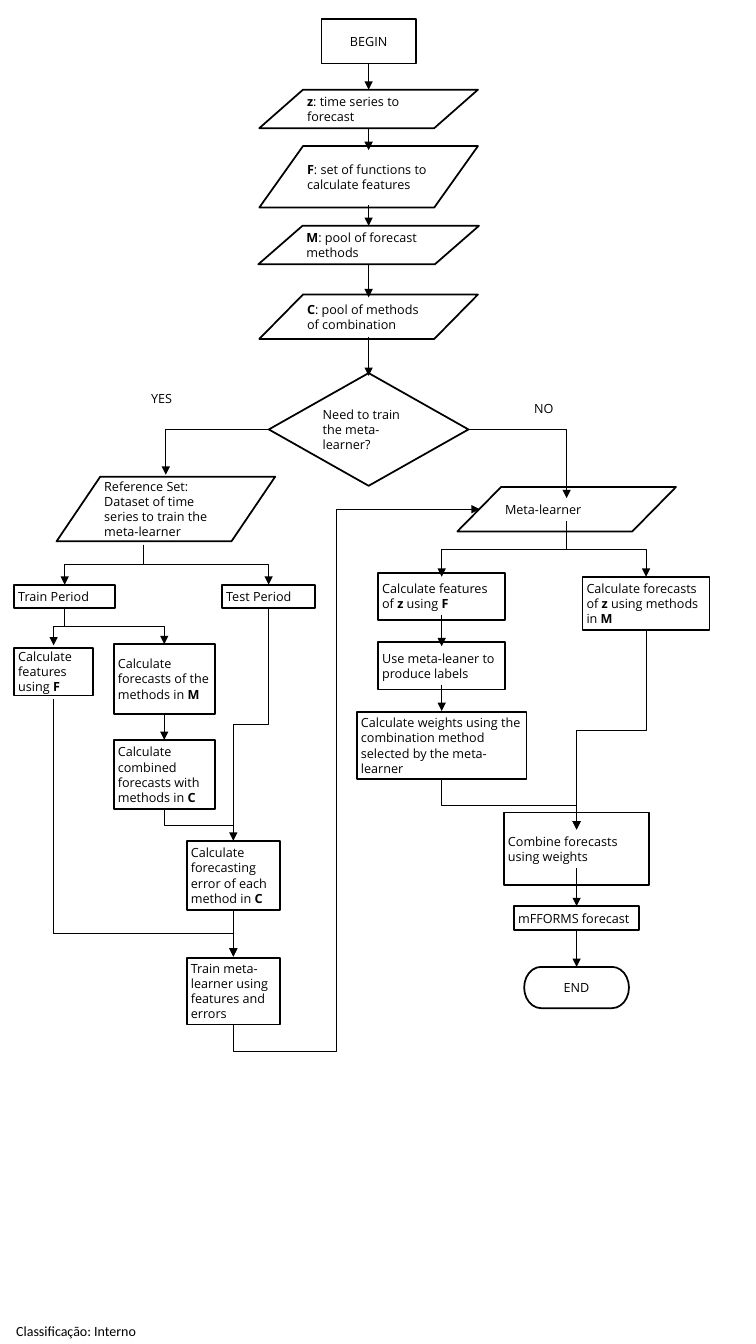
from dataclasses import dataclass
from typing import Any

from lxml.etree import SubElement
from pptx import Presentation
from pptx.dml.color import RGBColor
from pptx.enum.shapes import MSO_CONNECTOR, MSO_SHAPE
from pptx.enum.text import MSO_ANCHOR, PP_ALIGN
from pptx.oxml.ns import qn
from pptx.util import Cm, Pt


@dataclass(frozen=True)
class Theme:
    ink: RGBColor = RGBColor(0, 0, 0)
    font: str = "Open Sans"
    foot: str = "Calibri"
    body: Pt = Pt(9)
    small: Pt = Pt(10)
    edge: Pt = Pt(1.25)
    thin: Pt = Pt(1)
    wire: Pt = Pt(0.5)


@dataclass(frozen=True)
class Box:
    text: str
    mid: float
    top: float
    wide: float
    tall: float
    kind: MSO_SHAPE = MSO_SHAPE.FLOWCHART_PROCESS
    edge: Pt = Theme.edge
    align: PP_ALIGN = PP_ALIGN.LEFT
    side: float = 0.1


@dataclass(frozen=True)
class Label:
    text: str
    left: float
    top: float
    wide: float
    tall: float
    font: str = Theme.font
    size: Pt = Theme.body
    side: float = 0.25
    edge: float = 0.13


@dataclass(frozen=True)
class Link:
    x1: float
    y1: float
    x2: float
    y2: float
    form: str = "line"
    bends: tuple[float, ...] = ()
    head: bool = True


STEP, TURN, LOOP = "bentConnector3", "bentConnector2", "bentConnector4"
DATA = MSO_SHAPE.FLOWCHART_DATA
SPINE, META, MERGE, RIGHT, LEARN = 9.29, 14.28, 14.53, 16.28, 11.13
REF, TRAIN, TEST, TRAITS, POOL, ERROR = 4.18, 1.63, 6.77, 1.35, 4.14, 5.88

BOXES = [
    Box("BEGIN", SPINE, 0.48, 2.39, 1.12, edge=Theme.thin, align=PP_ALIGN.CENTER, side=0),
    Box("*z*: time series to forecast", SPINE, 2.26, 5.51, 0.97, DATA),
    Box("*F*: set of functions to calculate features", SPINE, 3.68, 5.51, 1.55, DATA),
    Box("*M*: pool of forecast methods", SPINE, 5.69, 5.56, 0.97, DATA),
    Box("*C*: pool of methods of combination", SPINE, 7.42, 5.51, 1.12, DATA),
    Box("Need to train the meta-learner?", SPINE, 9.4, 5.03, 2.84, MSO_SHAPE.FLOWCHART_DECISION),
    Box("Meta-learner", META, 12.27, 5.51, 1.12, DATA),
    Box("Calculate forecasts of *z *using methods in *M*", RIGHT, 14.53, 3.2, 1.35),
    Box("Calculate features of *z *using *F*", LEARN, 14.43, 3.2, 1.19),
    Box("Use meta-leaner to produce labels", LEARN, 16.18, 3.2, 1.19),
    Box("Calculate weights using the combination method selected by the meta-learner",
        LEARN, 17.93, 4.27, 1.7),
    Box("Combine forecasts using weights", MERGE, 20.47, 3.66, 1.83),
    Box("mFFORMS forecast", MERGE, 22.83, 3.15, 0.61),
    Box("END", MERGE, 24.36, 2.64, 1.04, MSO_SHAPE.FLOWCHART_TERMINATOR,
        align=PP_ALIGN.CENTER, side=0),
    Box("Reference Set: Dataset of time series to train the meta-learner",
        REF, 12.01, 5.51, 1.63, DATA),
    Box("Train Period", TRAIN, 14.73, 2.54, 0.58),
    Box("Test Period", TEST, 14.73, 2.34, 0.58),
    Box("Calculate features using *F*", TRAITS, 16.33, 1.98, 1.19),
    Box("Calculate forecasts of the methods in *M*", POOL, 16.23, 2.54, 1.75),
    Box("Calculate combined forecasts with methods in *C*", POOL, 18.64, 2.54, 1.75),
    Box("Calculate forecasting error of each method in *C*", ERROR, 21.18, 2.34, 1.75),
    Box("Train meta-learner using features and errors", ERROR, 24.13, 2.34, 1.68),
]

LABELS = [
    Label("NO", 13.21, 9.98, 1.65, 0.64),
    Label("YES", 3.56, 9.73, 1.65, 0.64),
    Label("Classificação: Interno", 0.41, 33.15, 3.86, 0.74,
          Theme.foot, Theme.small, 0, 0.13),
]

DROPS = {
    SPINE: [(1.6, 2.26), (3.25, 3.78), (5.16, 5.69), (6.68, 7.49), (8.48, 9.47)],
    LEARN: [(15.49, 16.28), (17.25, 17.91)],
    MERGE: [(21.87, 22.83), (23.44, 24.36)],
    POOL: [(17.98, 18.64)],
    ERROR: [(22.94, 24.1)],
}

LINKS = [Link(x, start, x, end) for x, spans in DROPS.items() for start, end in spans] + [
    Link(11.79, 10.82, META, 12.55, TURN),
    Link(6.78, 10.82, REF, 11.96, TURN),
    Link(RIGHT, 15.9, MERGE, 20.9, STEP),
    Link(LEARN, 19.66, MERGE, 20.9, STEP),
    Link(META, 13.13, RIGHT, 14.53, STEP),
    Link(META, 13.13, LEARN, 14.53, STEP),
    Link(3.61, 13.72, TRAIN, 14.73, STEP),
    Link(3.61, 13.72, TEST, 14.73, STEP),
    Link(TRAIN, 15.32, TRAITS, 16.26, STEP),
    Link(TRAIN, 15.32, POOL, 16.23, STEP),
    Link(TEST, 15.32, ERROR, 21.18, STEP, head=False),
    Link(POOL, 20.4, ERROR, 21.18, STEP),
    Link(TRAITS, 17.6, ERROR, 24.1, STEP, (0.91,)),
    Link(ERROR, 25.83, 12.09, 12.83, LOOP, (-0.05, 0.42)),
]


def apply(item: Any, values: dict[str, Any]) -> None:
    for name, value in values.items():
        setattr(item, name, value)


def write(frame: Any, text: str, font: str, size: Pt, align: PP_ALIGN,
          anchor: MSO_ANCHOR, side: float, edge: float) -> None:
    apply(frame, dict(word_wrap=True, vertical_anchor=anchor,
                      margin_left=Cm(side), margin_right=Cm(side),
                      margin_top=Cm(edge), margin_bottom=Cm(edge)))
    line = frame.paragraphs[0]
    line.alignment = align
    for spot, part in enumerate(text.split("*")):
        if part:
            run = line.add_run()
            run.text = part
            apply(run.font, dict(name=font, size=size, bold=spot % 2 == 1))
            run.font.color.rgb = Theme.ink


def draw_box(slide: Any, box: Box) -> None:
    shape = slide.shapes.add_shape(box.kind, Cm(box.mid - box.wide / 2), Cm(box.top),
                                   Cm(box.wide), Cm(box.tall))
    shape.shadow.inherit = False
    shape.fill.background()
    shape.line.color.rgb = Theme.ink
    shape.line.width = box.edge
    write(shape.text_frame, box.text, Theme.font, Theme.body, box.align,
          MSO_ANCHOR.MIDDLE, box.side, 0.1)


def draw_label(slide: Any, label: Label) -> None:
    shape = slide.shapes.add_textbox(Cm(label.left), Cm(label.top), Cm(label.wide), Cm(label.tall))
    write(shape.text_frame, label.text, label.font, label.size, PP_ALIGN.LEFT,
          MSO_ANCHOR.MIDDLE, label.side, label.edge)


def draw_link(slide: Any, link: Link) -> None:
    x1, y1, x2, y2 = link.x1, link.y1, link.x2, link.y2
    turn = 0
    if link.form in (STEP, LOOP):
        mid_x, mid_y = (x1 + x2) / 2, (y1 + y2) / 2
        half_x, half_y = abs(y2 - y1) / 2, abs(x2 - x1) / 2
        up, right = y2 < y1, x2 > x1
        turn = 270 if right and not up else 90
        half_x = -half_x if right else half_x
        half_y = -half_y if up else half_y
        x1, x2 = mid_x - half_x, mid_x + half_x
        y1, y2 = mid_y - half_y, mid_y + half_y
    kind = MSO_CONNECTOR.STRAIGHT if link.form == "line" else MSO_CONNECTOR.ELBOW
    wire = slide.shapes.add_connector(kind, Cm(x1), Cm(y1), Cm(x2), Cm(y2))
    wire.line.color.rgb = Theme.ink
    wire.line.width = Theme.wire
    frame = wire.element.spPr
    if turn:
        frame.find(qn("a:xfrm")).set("rot", str(turn * 60000))
    shape = frame.find(qn("a:prstGeom"))
    shape.set("prst", link.form)
    for spot, bend in enumerate(link.bends, 1):
        SubElement(shape.find(qn("a:avLst")), qn("a:gd"),
                   name=f"adj{spot}", fmla=f"val {round(bend * 100000)}")
    if link.head:
        SubElement(frame.find(qn("a:ln")), qn("a:tailEnd"), type="triangle")
    SubElement(frame, qn("a:effectLst"))


def main() -> None:
    deck = Presentation()
    apply(deck, dict(slide_width=Cm(19.05), slide_height=Cm(33.86)))
    slide = deck.slides.add_slide(deck.slide_layouts[6])
    for box in BOXES:
        draw_box(slide, box)
    for label in LABELS:
        draw_label(slide, label)
    for link in LINKS:
        draw_link(slide, link)
    deck.save("out.pptx")


main()
